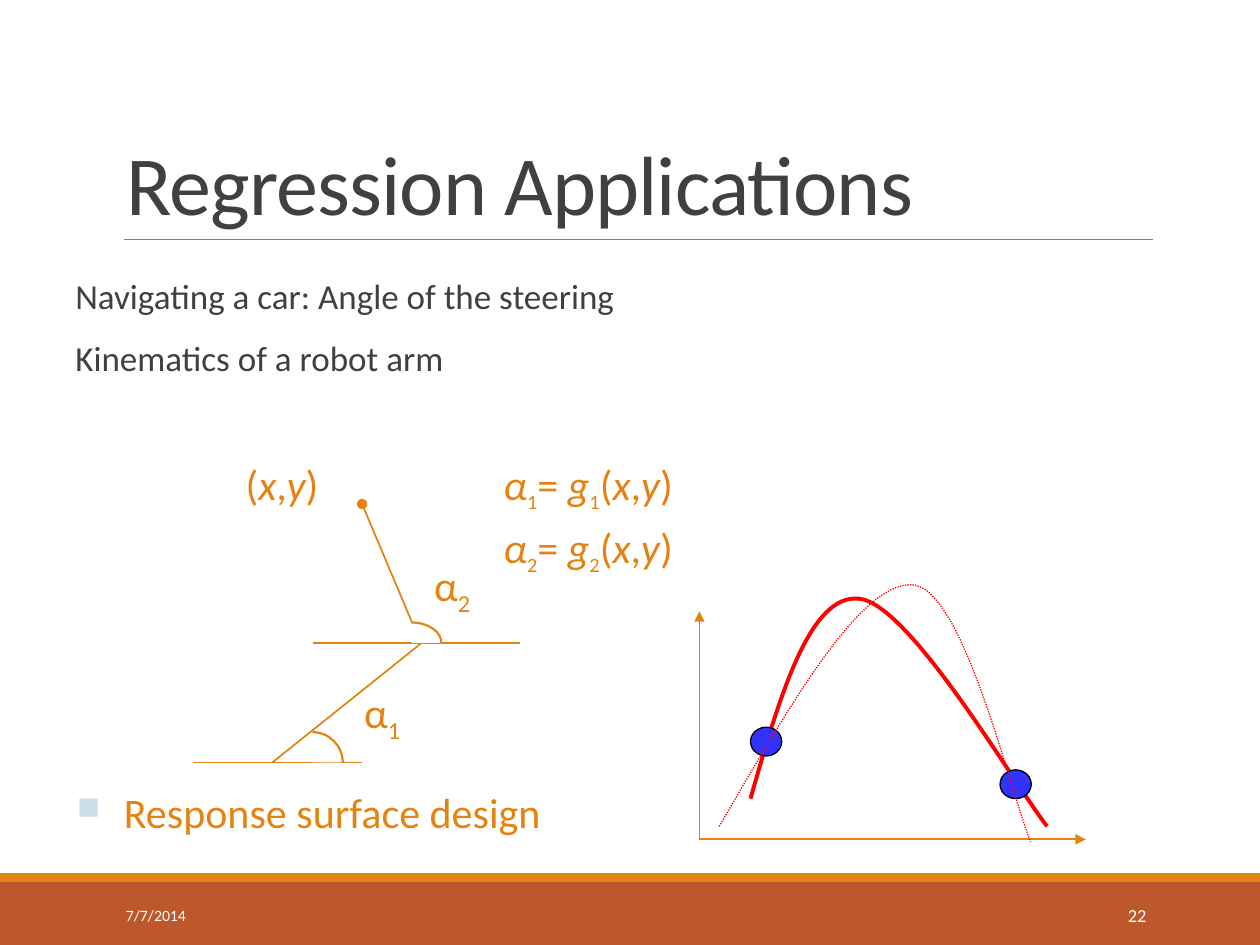
import copy
import pptx
import pptx.util
import pptx.dml.color
import pptx.enum.dml
import pptx.enum.shapes
import pptx.enum.text
import pptx.oxml
import pptx.oxml.ns

Cm = pptx.util.Cm
Pt = pptx.util.Pt
RGB = pptx.dml.color.RGBColor
Shape = pptx.enum.shapes.MSO_SHAPE
Align = pptx.enum.text.PP_ALIGN
Anchor = pptx.enum.text.MSO_ANCHOR
qn = pptx.oxml.ns.qn

ORANGE = RGB(0xE4, 0x83, 0x12)
RUST = RGB(0xBD, 0x58, 0x2C)
DARK = RGB(0x40, 0x40, 0x40)
GRAY = RGB(0x80, 0x80, 0x80)
WHITE = RGB(0xFF, 0xFF, 0xFF)
BLACK = RGB(0, 0, 0)
RED = RGB(0xFF, 0, 0)
BLUE = RGB(0x33, 0x33, 0xFF)
PALE = "CCDDEA"
POINT = [("(", ""), ("x", "i"), (",", ""), ("y", "i"), (")", "")]


def add_node(parent, tag, **attrs):
    node = pptx.oxml.parse_xml(f"<a:{tag} {pptx.oxml.ns.nsdecls('a')}/>")
    for name, value in attrs.items():
        node.set(name, str(value))
    parent.append(node)
    return node


def add_text(place, box, lines, size, color, anchor=Anchor.TOP, align=Align.LEFT,
             wrap=True, inset=0.25, before=0, after=0, spacing=None,
             indent=0, sub=None, track=0):
    frame = place.shapes.add_textbox(*map(Cm, box)).text_frame
    frame.word_wrap = wrap
    frame.vertical_anchor = anchor
    frame.margin_left = frame.margin_right = Cm(inset)
    for index, parts in enumerate(lines):
        para = frame.add_paragraph() if index else frame.paragraphs[0]
        para.alignment = align
        para.space_before, para.space_after = Pt(before), Pt(after)
        para.line_spacing = spacing
        para.font.name = "Calibri"
        para.font.size = Pt(size)
        para.font.color.rgb = color
        if indent:
            para._p.get_or_add_pPr().set("marL", str(Cm(indent)))
        for text, style in [(parts, "")] if isinstance(parts, str) else parts:
            run = para.add_run()
            run.text = text
            if style == "i":
                run.font.italic = True
            if style == "sub":
                run._r.get_or_add_rPr().set("baseline", "-25000")
                if sub:
                    run.font.size = Pt(sub)
            if track:
                run._r.get_or_add_rPr().set("spc", str(track))
    return frame


def add_bullet(para, hang):
    props = para._p.get_or_add_pPr()
    props.set("indent", str(-Cm(hang)))
    font = props.find(qn("a:defRPr"))
    props.remove(font)
    add_node(add_node(props, "buClr"), "srgbClr", val=PALE)
    add_node(props, "buSzPct", val=75000)
    add_node(props, "buChar", char="■")
    props.append(font)


def add_line(place, start, end, color=ORANGE, width=1, tail=None):
    kind = pptx.enum.shapes.MSO_CONNECTOR.STRAIGHT
    line = place.shapes.add_connector(kind, *map(Cm, start + end))
    line.line.color.rgb = color
    line.line.width = Pt(width)
    if tail:
        add_node(line.line._get_or_add_ln(), "tailEnd", type=tail)
    add_node(line._element.spPr, "effectLst")


def add_solid(place, kind, box, fill, line=None):
    shape = place.shapes.add_shape(kind, *map(Cm, box))
    shape.shadow.inherit = False
    shape.fill.solid()
    shape.fill.fore_color.rgb = fill
    if line is None:
        shape.line.fill.background()
    else:
        shape.line.color.rgb = line
        shape.line.width = Pt(0.75)


def add_curve(place, knots, color, width, corner=None):
    points = [(Cm(x), Cm(y)) for x, y in knots + ([corner] if corner else [])]
    pen = place.shapes.build_freeform(*points[0])
    pen.add_line_segments(points[1:], close=bool(corner))
    curve = pen.convert_to_shape()
    curve.shadow.inherit = False
    curve.fill.background()
    curve.line.color.rgb = color
    curve.line.width = Pt(width)
    track = next(curve._element.iter(qn("a:path")))
    legs = track.findall(qn("a:lnTo"))[:len(knots) - 1]
    for first in range(0, len(legs), 3):
        bend = add_node(track, "cubicBezTo")
        legs[first].addprevious(bend)
        for leg in legs[first:first + 3]:
            bend.append(leg[0])
            track.remove(leg)
    return curve, track


def add_arc(place, mid, wide, high):
    x, y = mid
    bow = 0.55
    knots = [(x, y - high), (x + bow * wide, y - high),
             (x + wide, y - bow * high), (x + wide, y)]
    curve, wedge = add_curve(place, knots, ORANGE, 1.25, mid)
    curve.fill.solid()
    curve.fill.fore_color.rgb = WHITE
    rim = copy.deepcopy(wedge)
    for part in rim[2:]:
        rim.remove(part)
    rim.set("fill", "none")
    wedge.set("stroke", "0")
    wedge.addprevious(rim)


def add_frame(slide):
    add_solid(slide, Shape.RECTANGLE, (0, 17.78, 25.4, 1.27), RUST)
    add_solid(slide, Shape.RECTANGLE, (0, 17.6, 25.4, 0.18), ORANGE)
    add_line(slide, (2.49, 4.83), (23.24, 4.83), GRAY, 0.5)
    add_text(slide, (2.3, 0.78, 20.95, 4.04), ["Regression Applications"], 48, DARK,
             anchor=Anchor.BOTTOM, spacing=0.85, track=-50)
    add_text(slide, (2.29, 17.94, 5.16, 1.02), ["7/7/2014"], 9, WHITE, anchor=Anchor.MIDDLE)
    add_text(slide, (20.62, 17.93, 2.74, 1.02), ["22"], 10.5, WHITE,
             anchor=Anchor.MIDDLE, align=Align.RIGHT)


def add_body(slide):
    add_text(slide, (1.27, 5.5, 22.86, 5.03),
             ["Navigating a car: Angle of the steering", "Kinematics of a robot arm"],
             20, DARK, inset=0, before=12, after=2, spacing=0.9, indent=0.25)
    rules = [[("α", "i"), (n, "sub"), ("= ", ""), ("g", "i"), (n, "sub")] + POINT
             for n in "12"]
    add_text(slide, (9.9, 9.12, 6.2, 3), rules, 24, ORANGE, before=4.8, sub=20)
    frame = add_text(slide, (1.3, 15.74, 22.86, 1.8), ["Response surface design"],
                     24, ORANGE, before=4.8, indent=0.95)
    add_bullet(frame.paragraphs[0], 0.95)


def add_arm(group):
    add_line(group, (3.89, 15.37), (7.29, 15.37))
    add_line(group, (5.49, 15.37), (8.5, 12.96))
    add_line(group, (8.48, 12.96), (7.3, 10.16), tail="oval")
    add_line(group, (6.3, 12.96), (10.49, 12.96))
    for n, left, top in (("1", 7.09, 13.72), ("2", 8.5, 11.16)):
        add_text(group, (left, top, 1.3, 1.27), [[("α", ""), (n, "sub")]],
                 24, ORANGE, wrap=False)
    add_arc(group, (8.3, 12.96), 0.6, 0.41)
    add_arc(group, (6.3, 15.37), 0.61, 0.61)
    add_text(group, (4.7, 9.12, 2.01, 1.3), [POINT], 24, ORANGE, wrap=False)


def add_plot(group):
    for end in ((21.89, 16.92), (14.1, 12.32)):
        add_line(group, (14.1, 16.92), end, tail="triangle")
    add_curve(group, [(15.13, 16.1), (15.72, 14.02), (16.33, 11.96), (17.32, 12.07),
                      (18.34, 12.17), (20.47, 15.85), (21.11, 16.66)], RED, 2.25)
    for left, top in ((15.13, 14.66), (20.16, 15.52)):
        add_solid(group, Shape.OVAL, (left, top, 0.63, 0.58), BLUE, BLACK)
    guess, _ = add_curve(group, [(14.5, 16.66), (15.93, 14.2), (17.35, 11.73),
                                 (18.39, 11.79), (19.43, 11.84), (20.4, 16.1),
                                 (20.78, 16.97)], RED, 0.75)
    guess.line.dash_style = pptx.enum.dml.MSO_LINE.ROUND_DOT


def main():
    deck = pptx.Presentation()
    deck.slide_width, deck.slide_height = Cm(25.4), Cm(19.05)
    slide = deck.slides.add_slide(deck.slide_layouts[6])
    add_frame(slide)
    add_body(slide)
    add_arm(slide.shapes.add_group_shape())
    add_plot(slide.shapes.add_group_shape())
    deck.save("out.pptx")


if __name__ == "__main__":
    main()
